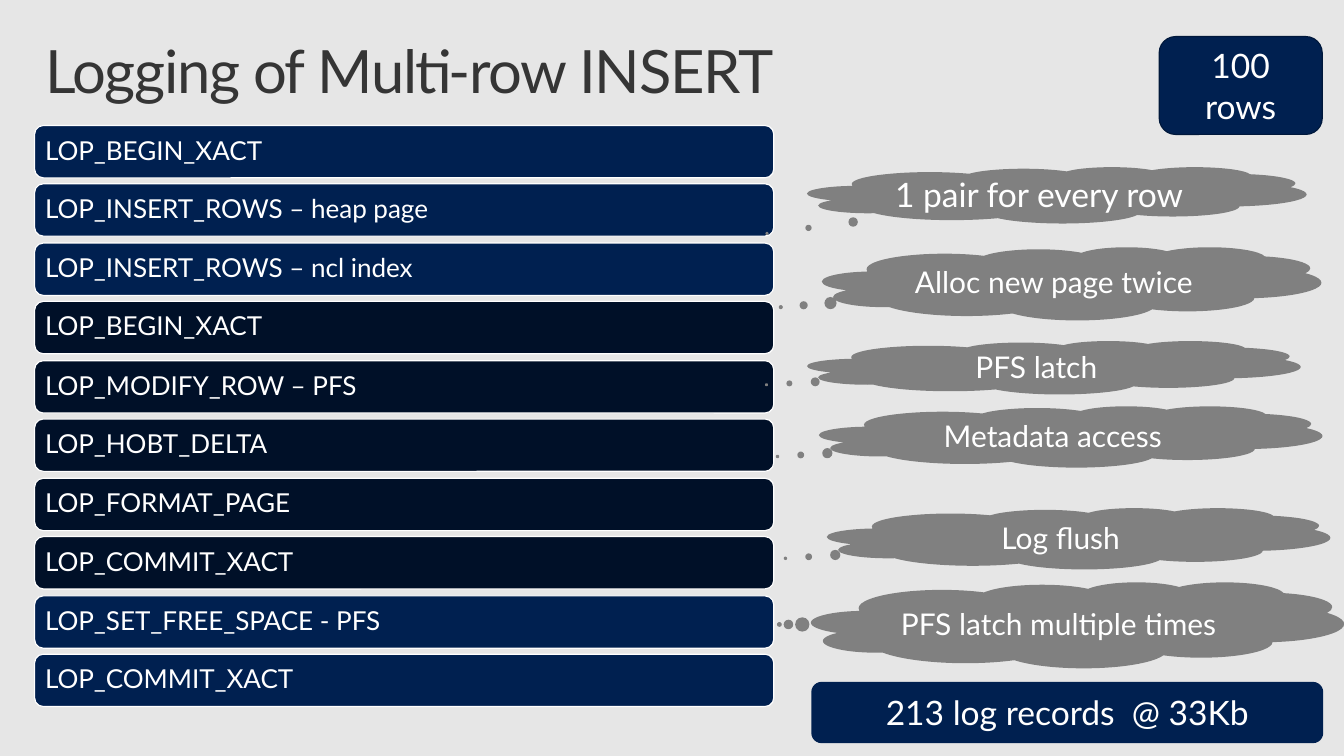
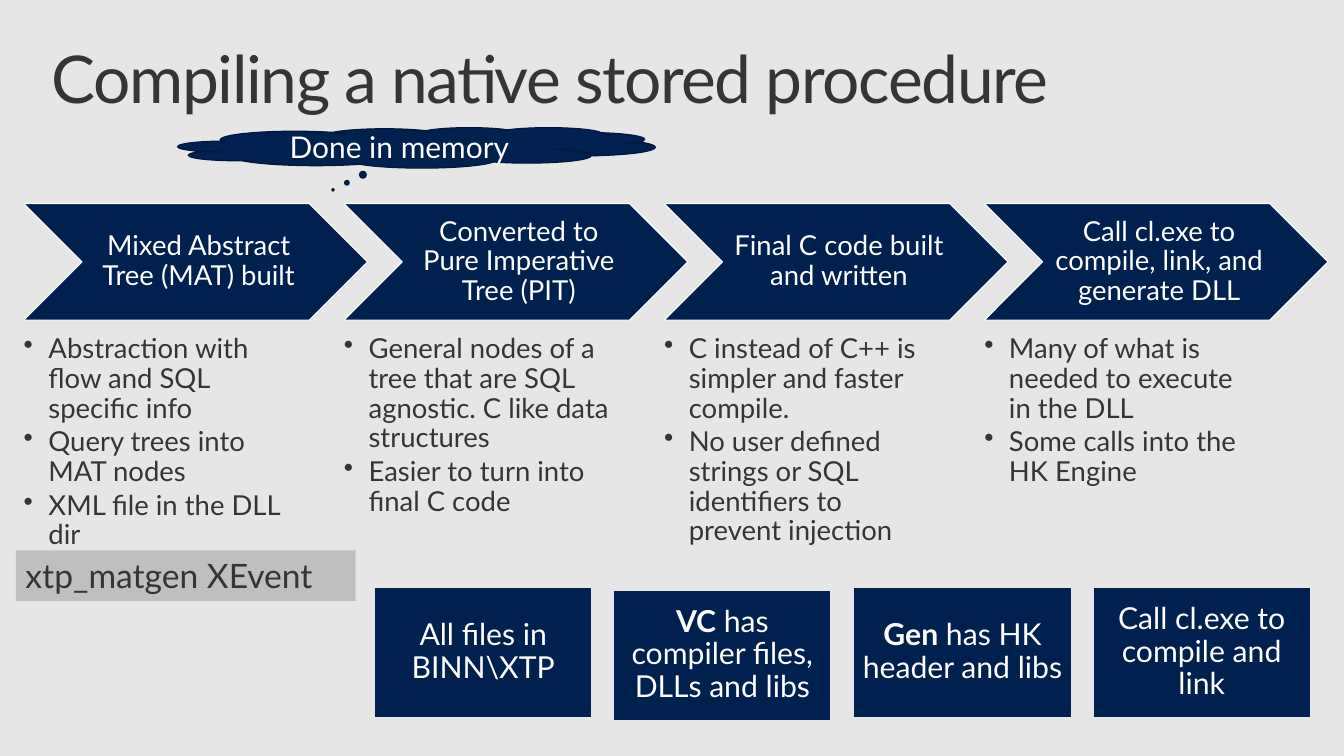
from pptx import Presentation
from pptx.dml.color import RGBColor
from pptx.enum.shapes import MSO_SHAPE as Shape
from pptx.enum.text import MSO_ANCHOR as Anchor, PP_ALIGN as Align
from pptx.util import Emu, Pt
from lxml.etree import SubElement
from pptx.oxml.ns import qn

PX = 9144  # one hundredth of an inch
FONT = "Lato"
COLOURS = {
    "paper": "E6E6E6",
    "ink": "353535",
    "white": "FFFFFF",
    "navy": "002050",
    "midnight": "001028",
    "edge": "00183B",
    "grey": "808080",
    "silver": "BFBFBF",
}


def write(frame, text, size=20, colour="white", align=Align.CENTER, anchor=Anchor.MIDDLE,
          insets=(10, 5, 10, 5), leading=None, after=0, tracking=0, bold_lead="", bullet=False):
    """Fill a frame with a string or a list of paragraphs; bold_lead opens the first one."""
    frame.word_wrap = True
    frame.vertical_anchor = anchor
    frame.margin_left, frame.margin_top, frame.margin_right, frame.margin_bottom = (
        Emu(inset * PX) for inset in insets)
    for number, line in enumerate([text] if isinstance(text, str) else text):
        para = frame.add_paragraph() if number else frame.paragraphs[0]
        para.alignment = align
        para.line_spacing = leading
        para.space_after = Pt(after)
        if bullet:
            properties = para._p.get_or_add_pPr()
            properties.set("marL", str(25 * PX))
            properties.set("indent", str(-25 * PX))
            SubElement(properties, qn("a:buChar"), char="•")
        pieces = [(line, False)]
        if bold_lead and number == 0:
            pieces.insert(0, (bold_lead, True))
        for words, bold in pieces:
            span = para.add_run()
            span.text = words
            span.font.name = FONT
            span.font.size = Pt(size)
            span.font.bold = bold
            span.font.color.rgb = RGBColor.from_string(COLOURS[colour])
            if tracking:
                span._r.get_or_add_rPr().set("spc", str(tracking))


def place(page, kind, bounds, text, fill="navy", line=None, adjust=(), **style):
    """Add a preset shape, or a plain text box when kind is None, and write in it."""
    bounds = [Emu(length * PX) for length in bounds]
    if kind is None:
        box = page.shapes.add_textbox(*bounds)
    else:
        box = page.shapes.add_shape(kind, *bounds)
        box.shadow.inherit = False
        box.fill.solid()
        box.fill.fore_color.rgb = RGBColor.from_string(COLOURS[fill])
        if line:
            box.line.color.rgb = RGBColor.from_string(COLOURS[line])
            box.line.width = Pt(0.85)
        else:
            box.line.fill.background()
        for index, value in enumerate(adjust):
            box.adjustments[index] = value
    write(box.text_frame, text, **style)


deck = Presentation()
deck.slide_width = Emu(1360 * PX)
deck.slide_height = Emu(765 * PX)
background = deck.slide_master.background.fill
background.solid()
background.fore_color.rgb = RGBColor.from_string(COLOURS["paper"])
blank = deck.slide_layouts[6]
TITLE = dict(colour="ink", align=Align.LEFT, anchor=Anchor.TOP,
             insets=(16, 10, 16, 10), leading=0.9, tracking=-100)

# Slide 1: log records and remarks
page = deck.slides.add_slide(blank)
place(page, None, (30, 32, 1300, 100), "Logging of Multi-row INSERT", size=43.5, **TITLE)

records = [
    ("LOP_BEGIN_XACT", "navy"),
    ("LOP_INSERT_ROWS – heap page", "navy"),
    ("LOP_INSERT_ROWS – ncl index", "navy"),
    ("LOP_BEGIN_XACT", "midnight"),
    ("LOP_MODIFY_ROW – PFS", "midnight"),
    ("LOP_HOBT_DELTA", "midnight"),
    ("LOP_FORMAT_PAGE", "midnight"),
    ("LOP_COMMIT_XACT", "midnight"),
    ("LOP_SET_FREE_SPACE - PFS", "navy"),
    ("LOP_COMMIT_XACT", "navy"),
]
for row, (record, fill) in enumerate(records):
    place(page, Shape.ROUNDED_RECTANGLE, (35, 127 + round(row * 535 / 9), 748, 53), record,
          fill=fill, line="white", size=19, align=Align.LEFT, insets=(8, 8, 8, 8), leading=0.9)

place(page, Shape.ROUNDED_RECTANGLE, (1173, 37, 165, 99), "100 rows",
      line="edge", size=24.5, insets=(16, 5, 16, 5))
place(page, Shape.ROUNDED_RECTANGLE, (821, 690, 518, 62), "213 log records  @ 33Kb", size=24.5)

TAIL = (-0.583, 0.322)
remarks = [
    ("1 pair for every row", (817, 169, 505, 57), (-0.581, 0.679), 24.5),
    ("Alloc new page twice", (832, 250, 505, 74), TAIL, 21.8),
    ("PFS latch", (817, 345, 499, 54), TAIL, 21.8),
    ("Metadata access", (829, 411, 509, 62), TAIL, 21.8),
    ("Log flush", (837, 514, 509, 62), TAIL, 21.8),
    ("PFS latch multiple times", (821, 589, 539, 87), (-0.56, -0.007), 21.8),
]
for remark, bounds, tail, size in remarks:
    place(page, Shape.CLOUD_CALLOUT, bounds, remark, fill="grey", adjust=tail, size=size)

# Slide 2: compile steps and file boxes
page = deck.slides.add_slide(blank)
place(page, None, (36, 37, 1297, 91), "Compiling a native stored procedure", size=48, **TITLE)

steps = [
    ("Mixed Abstract Tree (MAT) built",
     ["Abstraction with flow and SQL specific info",
      "Query trees into MAT nodes",
      "XML file in the DLL dir"]),
    ("Converted to Pure Imperative Tree (PIT)",
     ["General nodes of a tree that are SQL agnostic. C like data structures",
      "Easier to turn into final C code"]),
    ("Final C code built and written",
     ["C instead of C++ is simpler and faster compile.",
      "No user defined strings or SQL identifiers to prevent injection"]),
    ("Call cl.exe to compile, link, and generate DLL",
     ["Many of what is needed to execute in the DLL",
      "Some calls into the HK Engine"]),
]
for column, (step, details) in enumerate(steps):
    left = 24 + column * 324
    place(page, Shape.CHEVRON, (left, 206, 348, 118), step,
          line="white", insets=(9, 3, 3, 3), leading=0.9)
    place(page, None, (left, 339, 272, 245), details, colour="ink", align=Align.LEFT,
          anchor=Anchor.TOP, insets=(0, 0, 0, 0), leading=0.9, after=3, bullet=True)

files = [
    ("", "All files in BINN\\XTP", 594),
    ("VC", " has compiler files, DLLs and libs", 597),
    ("Gen", " has HK header and libs", 594),
    ("", "Call cl.exe to compile and link", 594),
]
for column, (lead, label, top) in enumerate(files):
    place(page, Shape.RECTANGLE, (379 + round(column * 727 / 3), top, 220, 132), label,
          line="paper", size=22, insets=(9, 9, 9, 9), leading=0.9, bold_lead=lead)

place(page, Shape.CLOUD_CALLOUT, (180, 129, 483, 41), "Done in memory",
      line="edge", adjust=(-0.175, 1.039), size=21.8)
place(page, Shape.RECTANGLE, (16, 557, 344, 51), "xtp_matgen XEvent", fill="silver",
      size=24.5, colour="ink", align=Align.LEFT, anchor=Anchor.TOP)

deck.save("out.pptx")
